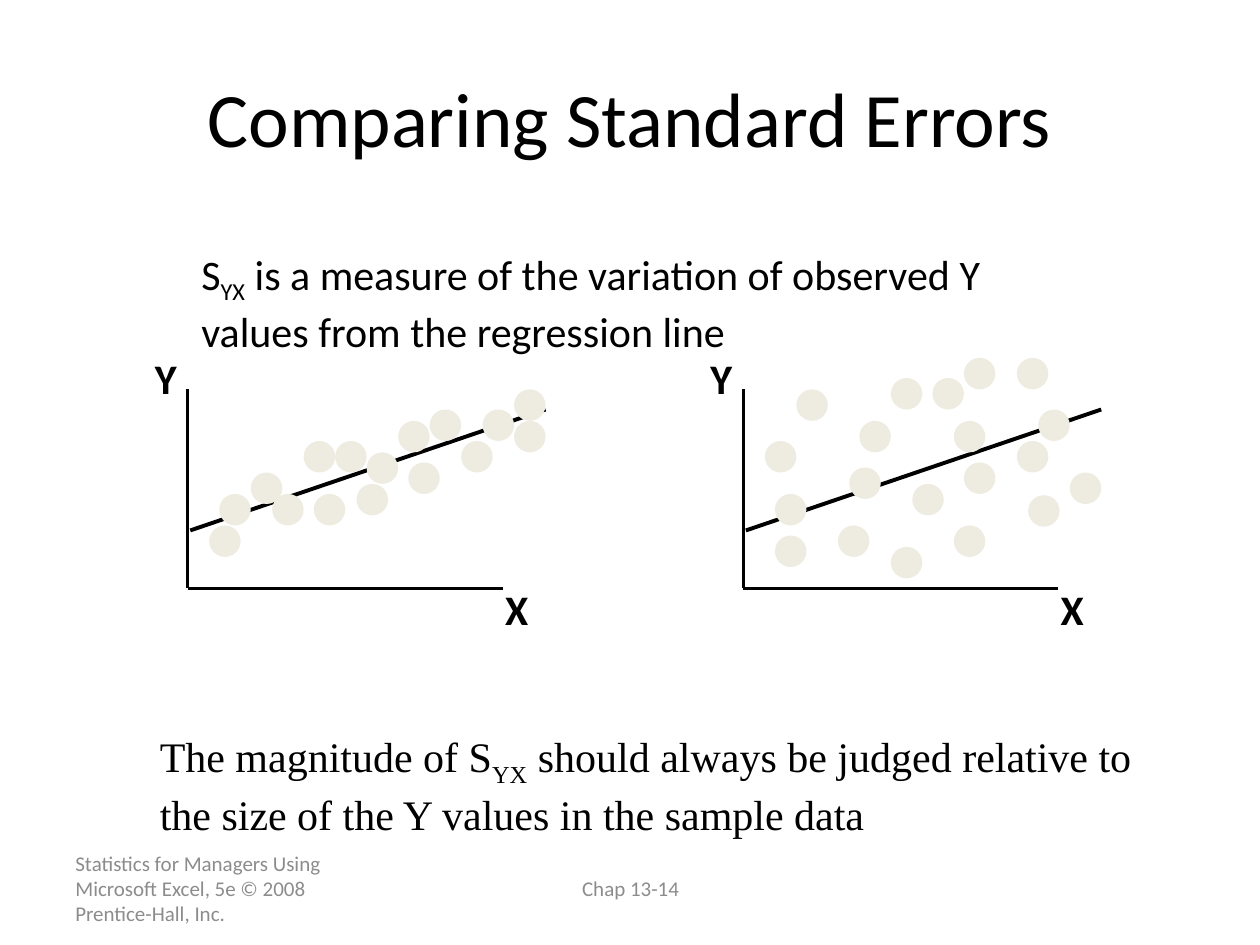
from lxml import etree
from pptx import Presentation
from pptx.dml.color import RGBColor
from pptx.enum.shapes import MSO_CONNECTOR, MSO_SHAPE
from pptx.enum.text import MSO_ANCHOR, MSO_AUTO_SIZE, PP_ALIGN
from pptx.oxml.ns import qn
from pptx.util import Emu, Pt

PX = 9144
COLORS = {"ink": "000000", "dot": "EEECE1", "footer": "8C8C8C"}
DOT_SIZE = 25
SMALL_ERRORS = [
    (17, 108), (25, 83), (259, 0), (234, 16), (67, 83), (217, 41), (192, 16), (50, 66),
    (92, 41), (175, 58), (134, 75), (100, 83), (142, 50), (167, 25), (117, 41), (259, 25),
]
LARGE_ERRORS = [
    (25, 116), (25, 83), (217, -25), (234, 16), (75, 108), (217, 41), (167, 108),
    (175, -25), (117, -9), (17, 41), (42, 0), (84, 62), (175, 58), (134, 75),
    (117, 125), (259, 66), (167, 25), (150, -9), (92, 25), (226, 84),
]


def px(*lengths):
    return [Emu(length * PX) for length in lengths]


def color(name):
    return RGBColor.from_string(COLORS[name])


def style(paragraph, size, font="Calibri", ink="ink", bold=False, align=PP_ALIGN.LEFT):
    paragraph.alignment = align
    paragraph.font.size = Pt(size)
    paragraph.font.name = font
    paragraph.font.bold = bold
    paragraph.font.color.rgb = color(ink)


def add_text(slide, box, text, size, wrap=True, grow=True, **look):
    frame = slide.shapes.add_textbox(*px(*box)).text_frame
    frame.word_wrap = wrap
    frame.auto_size = MSO_AUTO_SIZE.SHAPE_TO_FIT_TEXT if grow else MSO_AUTO_SIZE.NONE
    paragraph = frame.paragraphs[0]
    for index, part in enumerate(text.split("|")):
        run = paragraph.add_run()
        run.text = part
        if index % 2:
            run._r.get_or_add_rPr().set("baseline", "-25000")
    style(paragraph, size, **look)
    return frame


def add_line(slide, start, end, width):
    line = slide.shapes.add_connector(MSO_CONNECTOR.STRAIGHT, *px(*start, *end))
    line.line.color.rgb = color("ink")
    line.line.width = Pt(width)
    etree.SubElement(line._element.spPr, qn("a:effectLst"))


def add_title(slide, box, text):
    title = slide.shapes.title
    title.left, title.top, title.width, title.height = px(*box)
    title.text_frame.text = text
    title.text_frame.vertical_anchor = MSO_ANCHOR.MIDDLE
    style(title.text_frame.paragraphs[0], 44, align=PP_ALIGN.CENTER)


def add_scatter(slide, box, dots):
    left, top, width, height = box
    bottom = top + height
    add_line(slide, (left, top), (left, bottom), 2)
    add_line(slide, (left, bottom), (left + width, bottom), 2)
    add_line(slide, (left + 2, top + 112), (left + 284, top + 16), 2.25)
    for x, y in dots:
        dot = slide.shapes.add_shape(
            MSO_SHAPE.OVAL, *px(left + x, top + y, DOT_SIZE, DOT_SIZE))
        dot.shadow.inherit = False
        dot.fill.solid()
        dot.fill.fore_color.rgb = color("dot")
        dot.line.fill.background()
    for name, x, y in (("Y", left - 36, top - 34), ("X", left + width - 8, bottom - 9)):
        add_text(slide, (x, y, 42, 50), name, 24, wrap=False, bold=True)


def add_footer(slide, box, text, align):
    frame = add_text(slide, box, text, 12, grow=False, ink="footer", align=align)
    frame.vertical_anchor = MSO_ANCHOR.MIDDLE
    frame.margin_bottom = px(25)[0]


def main():
    deck = Presentation()
    deck.slide_width, deck.slide_height = px(1000, 750)
    slide = deck.slides.add_slide(deck.slide_layouts[5])
    add_title(slide, (50, 30, 900, 125), "Comparing Standard Errors")
    for left, dots in ((149, SMALL_ERRORS), (590, LARGE_ERRORS)):
        add_scatter(slide, (left, 309, 250, 158), dots)
    add_text(slide, (150, 192, 700, 90),
             "S|YX| is a measure of the variation of observed Y values "
             "from the regression line", 24)
    add_text(slide, (117, 575, 817, 90),
             "The magnitude of S|YX| should always be judged relative to "
             "the size of the Y values in the sample data", 24, font="Times New Roman")
    add_footer(slide, (50, 695, 233, 40),
               "Statistics for Managers Using Microsoft Excel, 5e © 2008 Prentice-Hall, Inc.",
               PP_ALIGN.LEFT)
    add_footer(slide, (342, 695, 317, 40), "Chap 13-14", PP_ALIGN.CENTER)
    deck.save("out.pptx")


if __name__ == "__main__":
    main()
